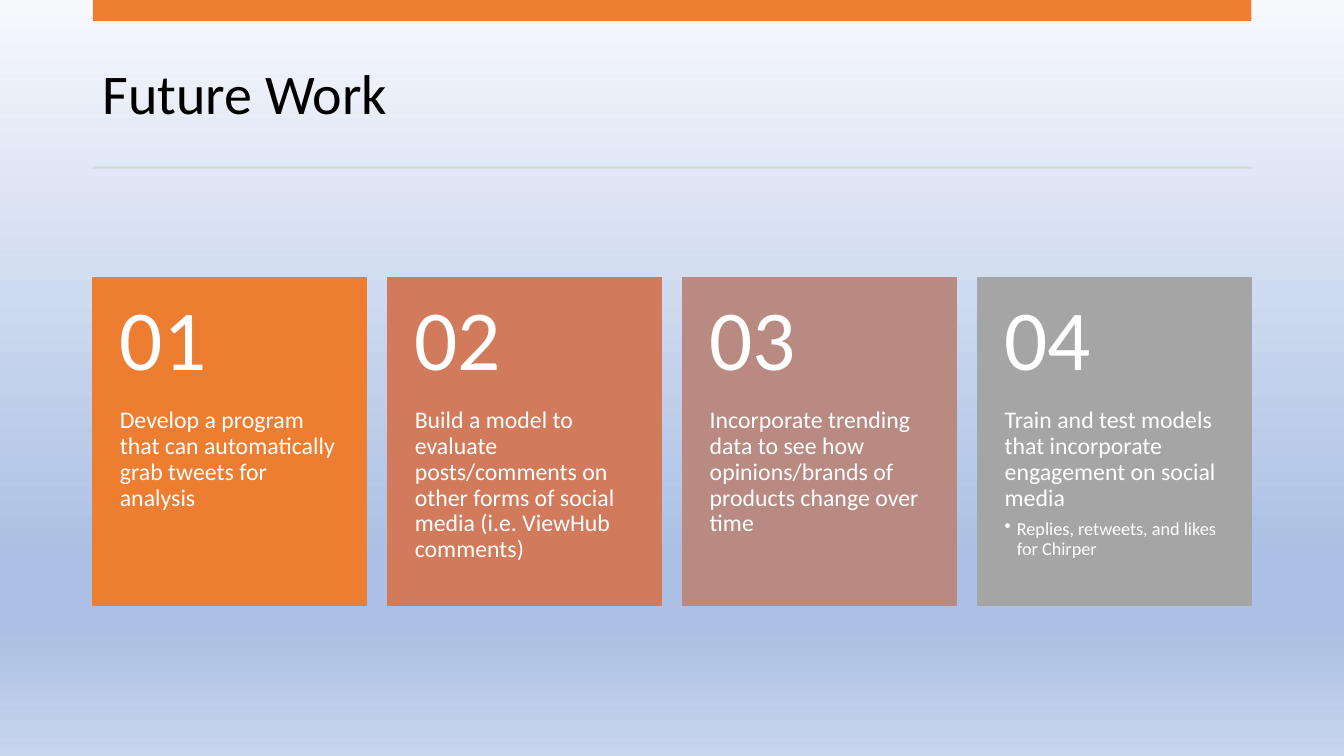
from copy import deepcopy
from dataclasses import dataclass

from lxml.etree import SubElement
from pptx import Presentation
from pptx.dml.color import RGBColor as Rgb
from pptx.enum.shapes import MSO_SHAPE as Shape
from pptx.enum.text import MSO_ANCHOR as Anchor, PP_ALIGN as Align
from pptx.oxml.ns import qn
from pptx.util import Cm, Pt


@dataclass(frozen=True)
class Theme:
    font: str = "Calibri"
    accent: str = "ED7D31"
    rule: str = "D5D5D5"
    dark: str = "000000"
    light: str = "FFFFFF"
    card_fills: tuple = ("ED7D31", "D17B5C", "B98A82", "A5A5A5")
    backdrop: tuple = ((0, "F6F8FC"), (0.74, "ABC0E4"), (0.83, "ABC0E4"), (1, "C7D5ED"))
    title_size: int = 40
    number_size: int = 61
    body_size: int = 17
    detail_size: int = 13


@dataclass(frozen=True)
class Box:
    """Position and size in centimetres."""
    left: float
    top: float
    width: float
    height: float

    def lengths(self):
        return [Cm(value) for value in (self.left, self.top, self.width, self.height)]


THEME = Theme()
CONTENT = Box(2.34, 0, 29.2, 19.05)
CARD_GAP = 0.53
NUMBER_HEIGHT = 3.3
IDEAS = [
    ("Develop a program that can automatically grab tweets for analysis", []),
    ("Build a model to evaluate posts/comments on other forms of social media "
     "(i.e. ViewHub comments)", []),
    ("Incorporate trending data to see how opinions/brands of products change over time", []),
    ("Train and test models that incorporate engagement on social media",
     ["Replies, retweets, and likes for Chirper"]),
]


def paint_backdrop(page):
    page.background.fill.gradient()
    stop_list = page.element.find(".//" + qn("a:gsLst"))
    for _ in THEME.backdrop[2:]:
        stop_list.append(deepcopy(stop_list[0]))
    fill = page.background.fill
    fill.gradient_angle = 270
    for stop, (position, color) in zip(fill.gradient_stops, THEME.backdrop):
        stop.position = position
        stop.color.rgb = Rgb.from_string(color)


def add_block(page, box, color, outlined=False):
    block = page.shapes.add_shape(Shape.RECTANGLE, *box.lengths())
    block.shadow.inherit = False
    block.fill.solid()
    block.fill.fore_color.rgb = Rgb.from_string(color)
    if outlined:
        block.line.color.rgb = Rgb.from_string(color)
        block.line.width = Pt(1)
    else:
        block.line.fill.background()


def add_text_frame(page, box, anchor, insets):
    """Add a wrapped text box; insets are left, top, right, bottom in centimetres."""
    frame = page.shapes.add_textbox(*box.lengths()).text_frame
    sides = ("margin_left", "margin_top", "margin_right", "margin_bottom")
    settings = {"word_wrap": True, "vertical_anchor": anchor,
                **dict(zip(sides, map(Cm, insets)))}
    for name, value in settings.items():
        setattr(frame, name, value)
    return frame


def write(para, text, size, color, space_after=0):
    para.text = text
    para_format = {"alignment": Align.LEFT, "line_spacing": 0.9, "space_after": Pt(space_after)}
    for name, value in para_format.items():
        setattr(para, name, value)
    for name, value in {"name": THEME.font, "size": Pt(size)}.items():
        setattr(para.runs[0].font, name, value)
    para.runs[0].font.color.rgb = Rgb.from_string(color)


def add_bullet(para, indent):
    props = para._p.get_or_add_pPr()
    props.set("marL", str(indent))
    props.set("indent", str(-indent))
    SubElement(props, qn("a:buChar"), char="•")


def add_header(page, box):
    add_block(page, Box(box.left, box.top, box.width, 0.53), THEME.accent)
    title_box = Box(box.left, box.top + 0.94, box.width, 3)
    frame = add_text_frame(page, title_box, Anchor.MIDDLE, (0.25, 0.13, 0.25, 0.13))
    write(frame.paragraphs[0], "Future Work", THEME.title_size, THEME.dark)
    add_block(page, Box(box.left, box.top + 4.2, box.width, 0.05), THEME.rule)


def add_card(page, box, number, color, idea, details):
    add_block(page, box, color, outlined=True)

    body_box = Box(box.left, box.top + NUMBER_HEIGHT, box.width, box.height - NUMBER_HEIGHT)
    body = add_text_frame(page, body_box, Anchor.TOP, (0.68, 0, 0.68, 0.91))
    write(body.paragraphs[0], idea, THEME.body_size, THEME.light, space_after=6)
    for detail in details:
        para = body.add_paragraph()
        write(para, detail, THEME.detail_size, THEME.light, space_after=2)
        para.level = 1
        add_bullet(para, Cm(0.31))

    number_box = Box(box.left, box.top, box.width, NUMBER_HEIGHT)
    heading = add_text_frame(page, number_box, Anchor.MIDDLE, (0.68, 0.45, 0.68, 0.45))
    write(heading.paragraphs[0], f"{number:02}", THEME.number_size, THEME.light)


def add_card_row(page, box):
    width = (box.width - CARD_GAP * (len(IDEAS) - 1)) / len(IDEAS)
    for index, (color, (idea, details)) in enumerate(zip(THEME.card_fills, IDEAS)):
        left = box.left + index * (width + CARD_GAP)
        add_card(page, Box(left, box.top, width, box.height), index + 1, color, idea, details)


def main():
    deck = Presentation()
    deck.slide_width, deck.slide_height = Cm(33.87), Cm(19.05)
    page = deck.slides.add_slide(deck.slide_layouts[6])
    paint_backdrop(page)
    add_header(page, Box(CONTENT.left, 0, CONTENT.width, 4.25))
    add_card_row(page, Box(CONTENT.left, 6.99, CONTENT.width, 8.26))
    deck.save("out.pptx")


if __name__ == "__main__":
    main()
